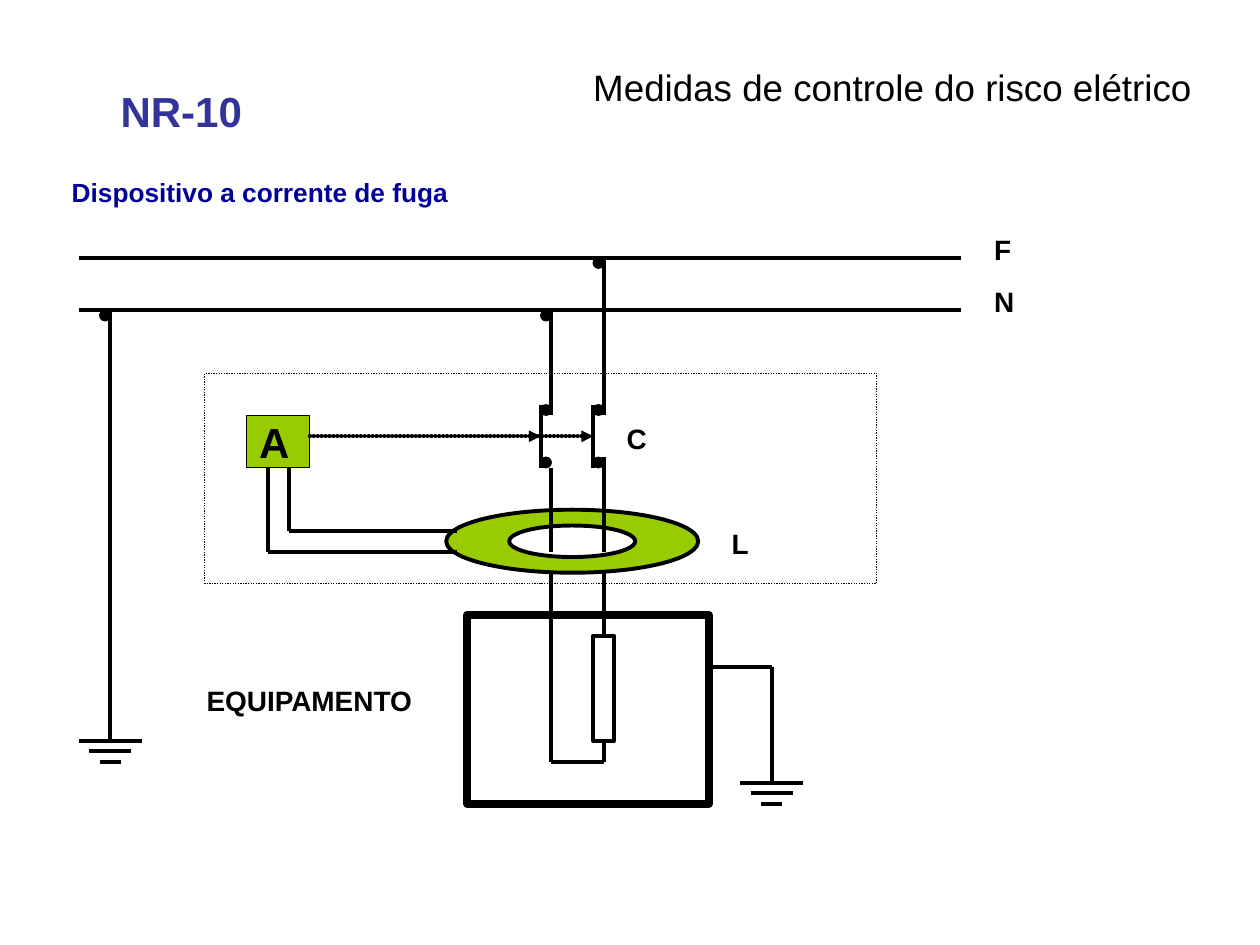
"""Build the slide on the residual-current device, with its wiring diagram."""
import lxml.etree
import pptx
import pptx.dml.color
import pptx.enum.dml
import pptx.enum.shapes
import pptx.enum.text
import pptx.oxml.ns
import pptx.util

COLORS = {"black": "000000", "white": "FFFFFF", "green": "99CC00",
          "indigo": "333399", "navy": "000099"}
UNIT = pptx.util.Inches(10) // 240
FIRST_ROW = 49.1  # grid units from the slide's top to the phase line
SHAPES = pptx.enum.shapes.MSO_SHAPE
ANCHOR = pptx.enum.text.MSO_ANCHOR
ALIGN = pptx.enum.text.PP_ALIGN
FIT = pptx.enum.text.MSO_AUTO_SIZE


def place(column, row):
    return round(column * UNIT), round((FIRST_ROW + row) * UNIT)


def write_text(box, text, size=16, color="black", bold=True, align=ALIGN.LEFT,
               anchor=ANCHOR.TOP, wrap=True, spacing=None):
    frame = box.text_frame
    frame.word_wrap = wrap
    frame.auto_size = FIT.NONE
    frame.vertical_anchor = anchor
    para = frame.paragraphs[0]
    para.alignment = align
    para.space_before = pptx.util.Pt(0)
    if spacing:
        para.line_spacing = pptx.util.Pt(spacing)
        para.space_after = pptx.util.Pt(3)
    span = para.add_run()
    span.text = text
    span.font.name = "Arial"
    span.font.size = pptx.util.Pt(size)
    span.font.bold = bold
    span.font.color.rgb = pptx.dml.color.RGBColor.from_string(COLORS[color])


deck = pptx.Presentation()
deck.slide_width = pptx.util.Inches(10)
deck.slide_height = pptx.util.Inches(7.5)
page = deck.slides.add_slide(deck.slide_layouts[5])

title = page.shapes.title
title.left, title.top = place(108.4, -36.1)
title.width, title.height = round(121 * UNIT), round(8.9 * UNIT)
write_text(title, "Medidas de controle do risco elétrico", size=21, bold=False,
           align=ALIGN.RIGHT, anchor=ANCHOR.BOTTOM, spacing=19)

# column, row, width, height, text, format
labels = [
    (20.6, -34, 30, 12, "NR-10", {"size": 24, "color": "indigo"}),
    (11.3, -17.2, 79, 8.9, "Dispositivo a corrente de fuga",
     {"size": 15, "color": "navy", "anchor": ANCHOR.BOTTOM, "spacing": 19}),
    (117, 30, 8, 8.9, "C", {}),
    (137, 50, 8, 8.9, "L", {}),
    (187, 4, 8, 8.9, "N", {}),
    (187, -6, 8, 8.9, "F", {}),
    (37, 80, 46, 8.9, "EQUIPAMENTO", {}),
]
for column, row, width, height, text, look in labels:
    box = page.shapes.add_textbox(*place(column, row), round(width * UNIT), round(height * UNIT))
    write_text(box, text, **look)

# name: column, row, width, height, preset, fill, line width
outlines = {
    "device": (39, 22, 128, 40, SHAPES.RECTANGLE, None, 0.75),
    "equipment": (89, 68, 46, 36, SHAPES.RECTANGLE, None, 4.5),
    "resistor": (113, 72, 4, 20, SHAPES.RECTANGLE, None, 2.25),
    "actuator": (47, 30, 12, 10, SHAPES.RECTANGLE, "green", 0.75),
    "ring": (85, 48, 48, 12, SHAPES.OVAL, "green", 2.25),
    "ring hole": (97, 51, 24, 6, SHAPES.OVAL, "white", 2.25),
}
nodes = [(113, 0), (103, 10), (19, 10), (103, 28), (113, 28), (103, 38), (113, 38)]
for column, row in nodes:
    outlines[f"node {column} {row}"] = (column, row, 2, 2, SHAPES.OVAL, "black", 0.75)

parts = {}
for name, (column, row, width, height, preset, fill, weight) in outlines.items():
    part = page.shapes.add_shape(preset, *place(column, row), width * UNIT, height * UNIT)
    part.shadow.inherit = False
    if fill:
        part.fill.solid()
        part.fill.fore_color.rgb = pptx.dml.color.RGBColor.from_string(COLORS[fill])
    else:
        part.fill.background()
    part.line.width = pptx.util.Pt(weight)
    part.line.color.rgb = pptx.dml.color.RGBColor.from_string(COLORS["black"])
    parts[name] = part
parts["device"].line.dash_style = pptx.enum.dml.MSO_LINE.ROUND_DOT
write_text(parts["actuator"], "A", size=24, anchor=ANCHOR.MIDDLE, wrap=False)

arrows = [(59, 34, 103, 34), (101, 34, 113, 34)]
load_feed, load_return = (115, 60, 115, 72), (115, 92, 115, 96)
wires = [
    (15, 0, 183, 0), (15, 10, 183, 10), (21, 10, 21, 92),
    (105, 10, 105, 30), (115, 0, 115, 30),
    (103, 28, 103, 40), (113, 28, 113, 40),
    (105, 40, 105, 56), (115, 38, 115, 56),
    (105, 60, 105, 96), load_feed, load_return, (105, 96, 115, 96),
    (55, 40, 55, 52), (55, 52, 87, 52), (51, 40, 51, 56), (51, 56, 87, 56),
    (135, 78, 147, 78), (147, 78, 147, 100),
]
for center, row in [(21, 92), (147, 100)]:
    for step in range(3):
        reach = 6 - 2 * step
        wires.append((center - reach, row + 2 * step, center + reach, row + 2 * step))

for wire in wires + arrows:
    line = page.shapes.add_connector(pptx.enum.shapes.MSO_CONNECTOR.STRAIGHT,
                                     *place(*wire[:2]), *place(*wire[2:]))
    line.line.width = pptx.util.Pt(2.25)
    line.line.color.rgb = pptx.dml.color.RGBColor.from_string(COLORS["black"])
    if wire in arrows:
        stroke = line._element.spPr.find(pptx.oxml.ns.qn("a:ln"))
        stroke.set("cap", "rnd")
        dashes = lxml.etree.SubElement(stroke, pptx.oxml.ns.qn("a:custDash"))
        lxml.etree.SubElement(dashes, pptx.oxml.ns.qn("a:ds"), d="10000", sp="90000")
        lxml.etree.SubElement(stroke, pptx.oxml.ns.qn("a:tailEnd"), type="triangle")
    lxml.etree.SubElement(line._element.spPr, pptx.oxml.ns.qn("a:effectLst"))
    if wire == load_feed:
        line.end_connect(parts["resistor"], 0)
    if wire == load_return:
        line.begin_connect(parts["resistor"], 2)

deck.save("out.pptx")
